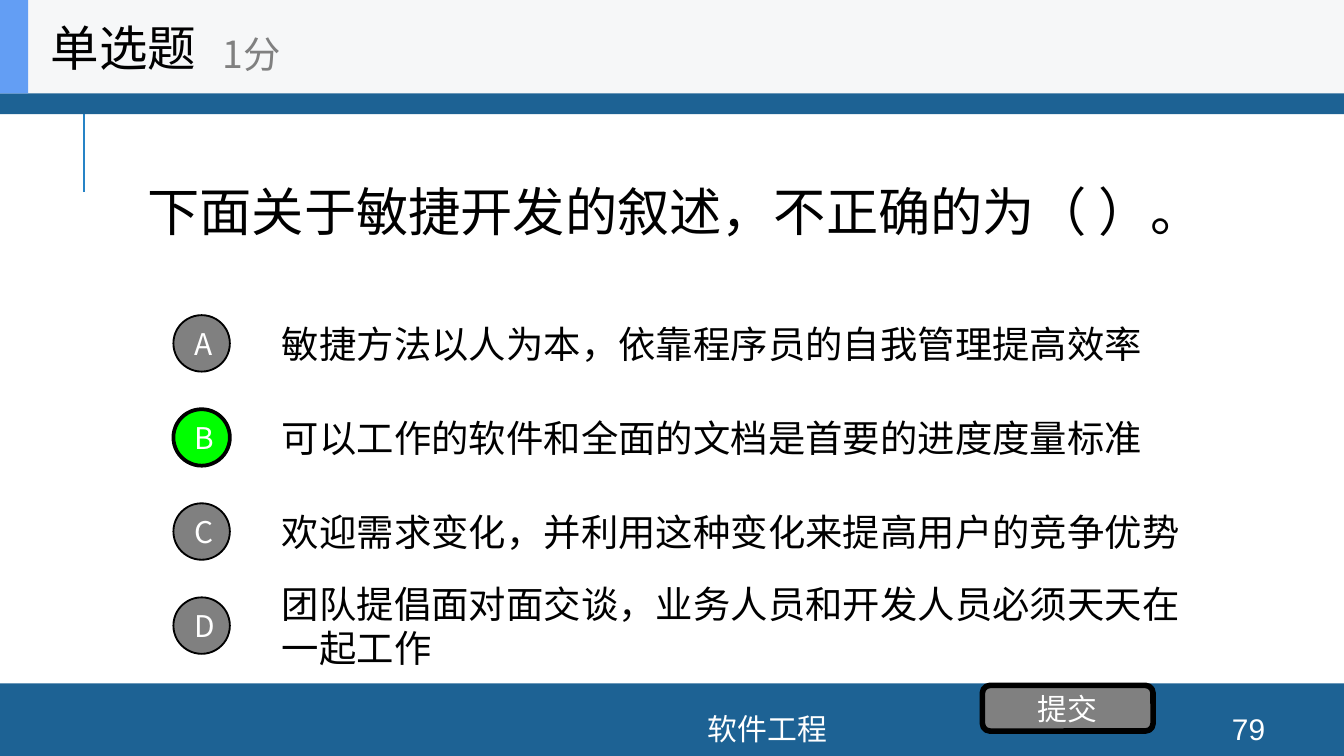
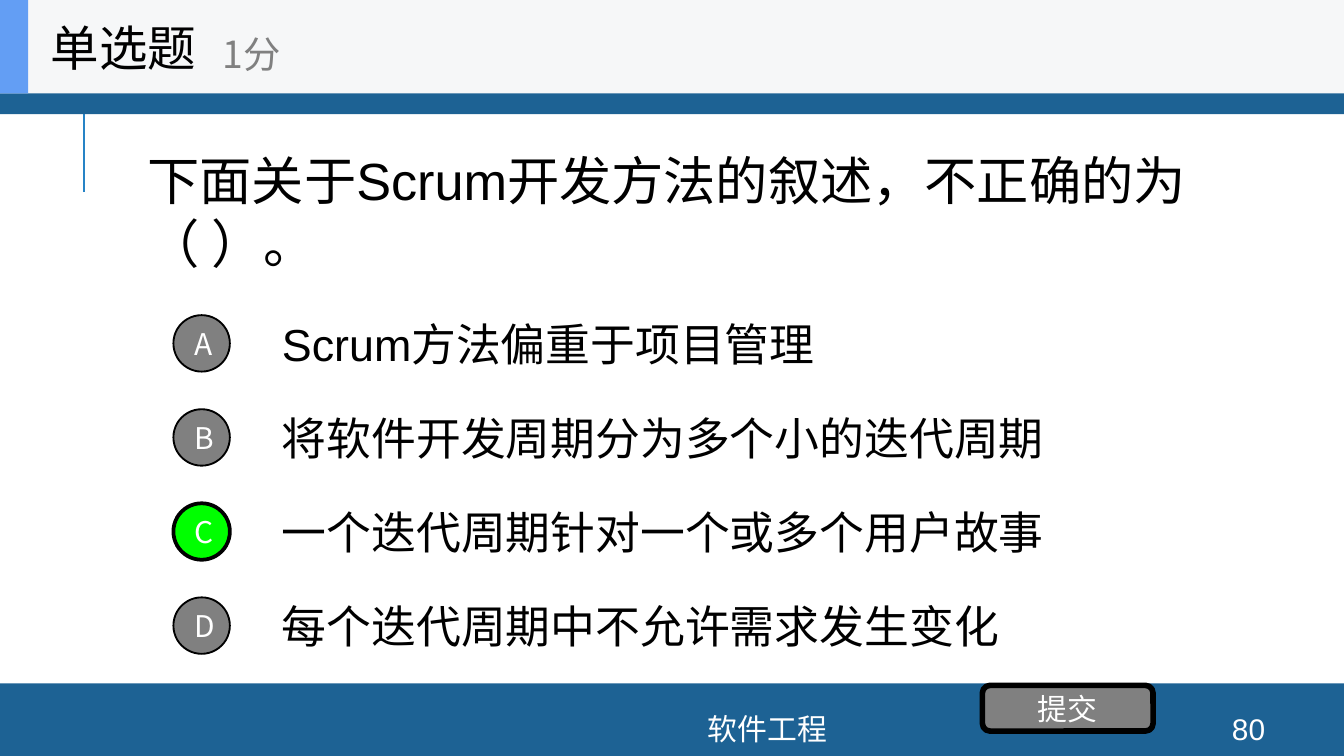
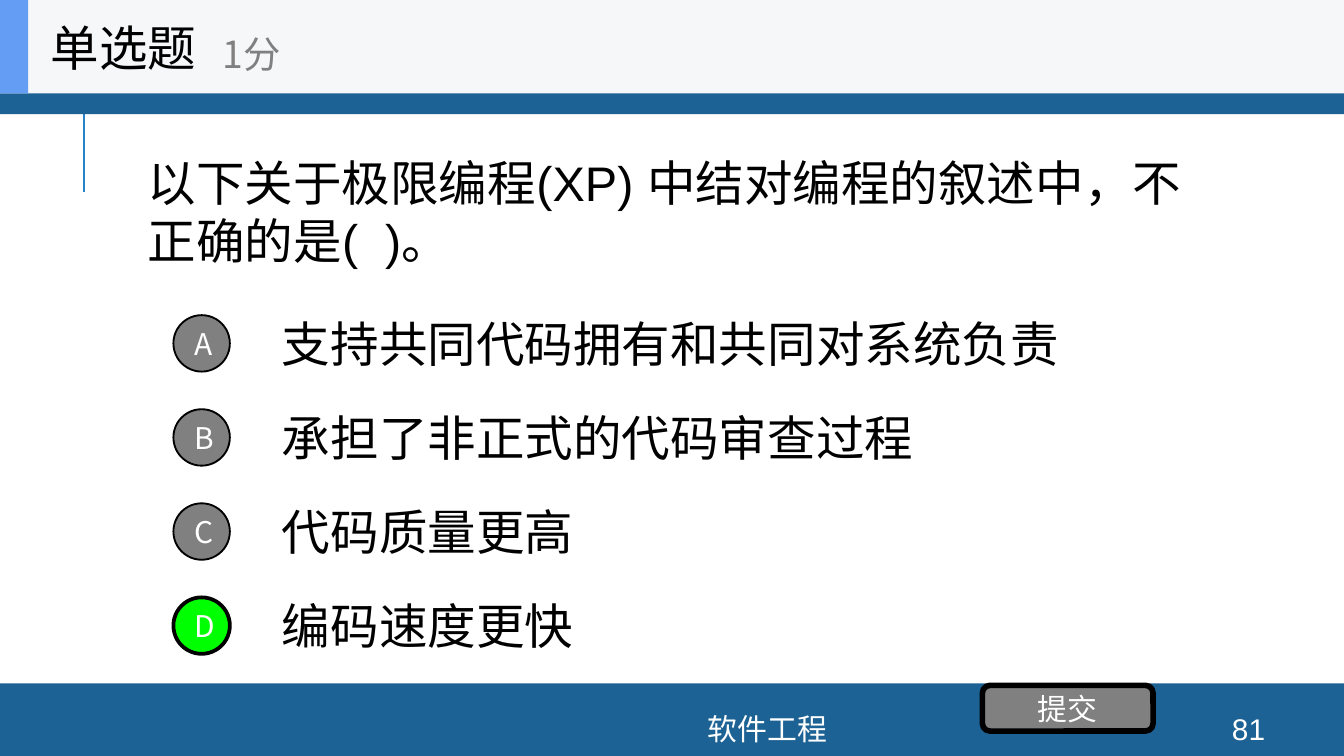
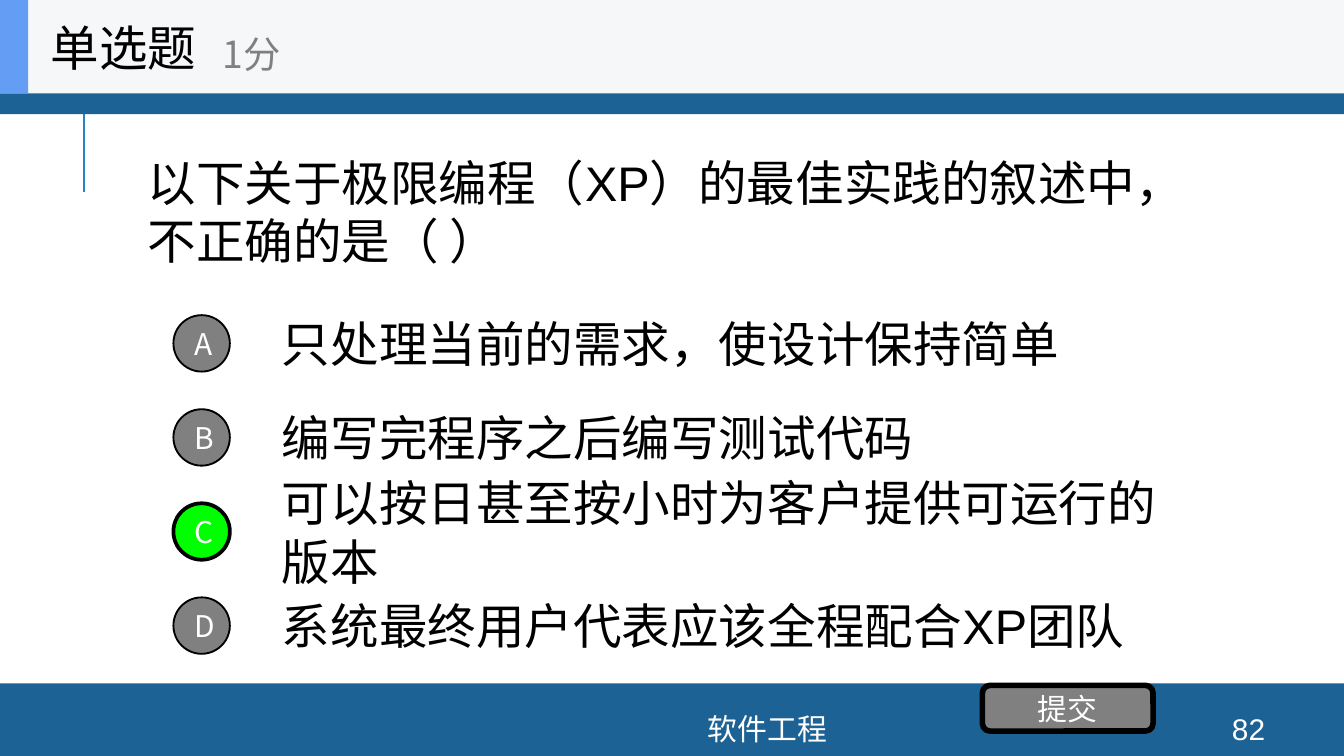
from dataclasses import dataclass
from typing import NamedTuple

import lxml.etree
import pptx
import pptx.dml.color
import pptx.enum.shapes
import pptx.enum.text
import pptx.oxml.ns
import pptx.util

PX = 4572  # EMU in one px; 200 px make an inch
SLIDE_W, SLIDE_H = 2000, 1125
SHAPE = pptx.enum.shapes.MSO_SHAPE
LEFT = pptx.enum.text.PP_ALIGN.LEFT
CENTER = pptx.enum.text.PP_ALIGN.CENTER


@dataclass(frozen=True)
class Theme:
    latin: str = "Arial"
    cjk: str = "Noto Sans CJK SC"
    band: str = "1D6294"
    rule: str = "2683C6"
    header: str = "F6F7F8"
    accent: str = "639EF4"
    black: str = "000000"
    white: str = "FFFFFF"
    grey: str = "808080"
    correct: str = "00FF00"
    title_size: int = 26
    score_size: int = 20
    small_size: int = 16


THEME = Theme()


class Box(NamedTuple):
    x: int
    y: int
    w: int
    h: int

    def emu(self) -> list[int]:
        return [v * PX for v in self]


class Style(NamedTuple):
    size: int
    color: str
    font: str = THEME.latin
    align: int = LEFT


@dataclass(frozen=True)
class Question:
    page: int
    text: str
    width: int
    size: int
    options: tuple[str, ...]
    option_size: int
    answer: str


QUESTIONS = (
    Question(79, "下面关于敏捷开发的叙述，不正确的为（ ）。", 1688, 28, (
        "敏捷方法以人为本，依靠程序员的自我管理提高效率",
        "可以工作的软件和全面的文档是首要的进度度量标准",
        "欢迎需求变化，并利用这种变化来提高用户的竞争优势",
        "团队提倡面对面交谈，业务人员和开发人员必须天天在一起工作",
    ), 20, "B"),
    Question(80, "下面关于Scrum开发方法的叙述，不正确的为（ ）。", 1692, 28, (
        "Scrum方法偏重于项目管理",
        "将软件开发周期分为多个小的迭代周期",
        "一个迭代周期针对一个或多个用户故事",
        "每个迭代周期中不允许需求发生变化",
    ), 24, "C"),
    Question(81, "以下关于极限编程(XP) 中结对编程的叙述中，不正确的是(  )。", 1600, 26, (
        "支持共同代码拥有和共同对系统负责",
        "承担了非正式的代码审查过程 ",
        "代码质量更高",
        "编码速度更快",
    ), 26, "D"),
    Question(82, "以下关于极限编程（XP）的最佳实践的叙述中，不正确的是（ ）", 1600, 26, (
        "只处理当前的需求，使设计保持简单",
        "编写完程序之后编写测试代码",
        "可以按日甚至按小时为客户提供可运行的版本",
        "系统最终用户代表应该全程配合XP团队",
    ), 26, "C"),
)


# Drawing helpers
def rgb(color: str) -> pptx.dml.color.RGBColor:
    return pptx.dml.color.RGBColor.from_string(color)


def write(sp, text: str, style: Style) -> None:
    tf = sp.text_frame
    tf.word_wrap = True
    tf.vertical_anchor = pptx.enum.text.MSO_ANCHOR.MIDDLE
    p = tf.paragraphs[0]
    p.alignment = style.align
    r = p.add_run()
    r.text = text
    r.font.size = pptx.util.Pt(style.size)
    r.font.name = style.font
    r.font.color.rgb = rgb(style.color)
    ea = lxml.etree.SubElement(r.font._element, pptx.oxml.ns.qn("a:ea"))
    ea.set("typeface", THEME.cjk)


def add_text(shapes, box: Box, text: str, style: Style) -> None:
    write(shapes.add_textbox(*box.emu()), text, style)


def add_block(shapes, kind: int, box: Box, fill: str, line: int = 0, text: str = "") -> None:
    sp = shapes.add_shape(kind, *box.emu())
    sp.shadow.inherit = False
    sp.fill.solid()
    sp.fill.fore_color.rgb = rgb(fill)
    if line:
        sp.line.color.rgb = rgb(THEME.black)
        sp.line.width = pptx.util.Pt(line)
    else:
        sp.line.fill.background()
    if text:
        write(sp, text, Style(THEME.small_size, THEME.white, THEME.cjk, CENTER))


# Parts every slide shares
def add_frame(s, page: int) -> None:
    rule_x, rule_bottom, rule_top = 125 * PX, 286 * PX, 136 * PX
    rule = s.shapes.add_connector(
        pptx.enum.shapes.MSO_CONNECTOR.STRAIGHT, rule_x, rule_bottom, rule_x, rule_top)
    rule.line.color.rgb = rgb(THEME.rule)
    rule.line.width = pptx.util.Pt(1.5)
    lxml.etree.SubElement(rule._element.spPr, pptx.oxml.ns.qn("a:effectLst"))

    add_block(s.shapes, SHAPE.RECTANGLE, Box(0, 1017, SLIDE_W, 108), THEME.band)
    add_block(s.shapes, SHAPE.RECTANGLE, Box(0, -6, SLIDE_W, 176), THEME.band)
    footer = Style(THEME.small_size, THEME.white, align=CENTER)
    add_text(s.shapes, Box(521, 1062, 1242, 46), "软件工程", footer)
    add_text(s.shapes, Box(1778, 1062, 160, 46), str(page), footer)


def add_header(s) -> None:
    shapes = s.shapes.add_group_shape().shapes
    add_block(shapes, SHAPE.RECTANGLE, Box(0, 0, SLIDE_W, 139), THEME.header)
    add_block(shapes, SHAPE.RECTANGLE, Box(0, 0, 42, 139), THEME.accent)
    add_text(shapes, Box(56, 0, 416, 139), "单选题",
             Style(THEME.title_size, THEME.black, THEME.cjk))
    add_text(shapes, Box(312, 24, 500, 112), "1分",
             Style(THEME.score_size, THEME.grey, THEME.cjk))


# Question, options, lettered badges and submit button
def add_question(s, q: Question) -> None:
    add_text(s.shapes, Box(200, 138, q.width, 352), q.text, Style(q.size, THEME.black))
    row_step = 140
    option_style = Style(q.option_size, THEME.black)
    for i, option in enumerate(q.options):
        add_text(s.shapes, Box(400, 458 + i * row_step, 1400, 106), option, option_style)
    for i, letter in enumerate("ABCD"):
        correct = letter == q.answer
        add_block(s.shapes, SHAPE.OVAL, Box(258, 469 + i * row_step, 84, 84),
                  THEME.correct if correct else THEME.grey, 2 if correct else 1, letter)
    add_block(s.shapes, SHAPE.ROUNDED_RECTANGLE, Box(1462, 1020, 254, 68),
              THEME.grey, 3, "提交")


def main() -> None:
    prs = pptx.Presentation()
    prs.slide_width, prs.slide_height = SLIDE_W * PX, SLIDE_H * PX
    for q in QUESTIONS:
        s = prs.slides.add_slide(prs.slide_layouts[6])
        add_frame(s, q.page)
        add_question(s, q)
        add_header(s)
    prs.save("out.pptx")


if __name__ == "__main__":
    main()
